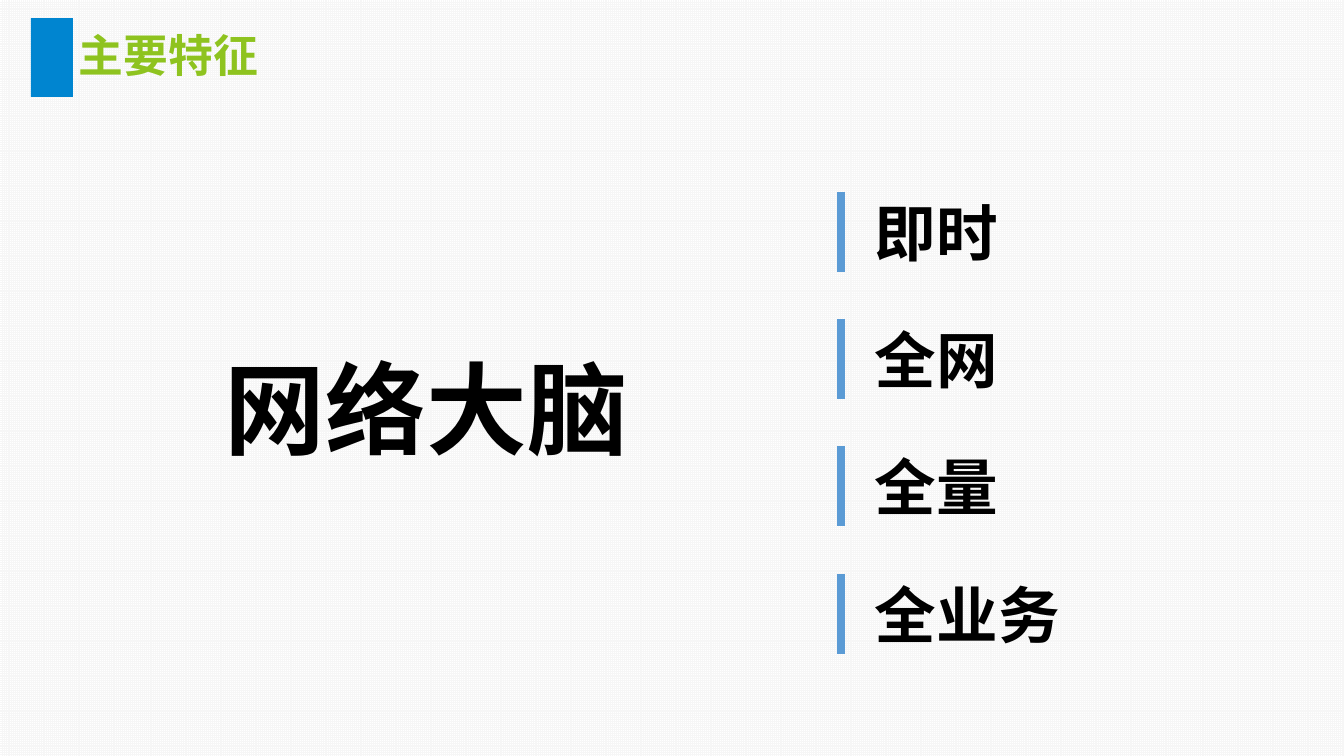
from lxml import etree
from pptx import Presentation
from pptx import util as u
from pptx.dml.color import RGBColor
from pptx.enum import dml, shapes, text
from pptx.oxml.ns import qn

PX = 914400 / 100.8
FONT = "Noto Sans CJK SC"
BLUE = RGBColor(0x00, 0x85, 0xD0)
LIGHT_BLUE = RGBColor(0x5B, 0x9B, 0xD5)
GREEN = RGBColor(0x8E, 0xC3, 0x1F)
BLACK = RGBColor(0x00, 0x00, 0x00)
WHITE = RGBColor(0xFF, 0xFF, 0xFF)
GRID = RGBColor(0xF6, 0xF6, 0xF6)
FEATURES = ["即时", "全网", "全量", "全业务"]


def px(*lengths):
    """Turn px lengths into EMU."""
    return [u.Emu(round(n * PX)) for n in lengths]


def add_label(s, x, y, w, h, words, size, color):
    """Add one bold line of text."""
    tf = s.shapes.add_textbox(*px(x, y, w, h)).text_frame
    tf.word_wrap = True
    tf.auto_size = text.MSO_AUTO_SIZE.SHAPE_TO_FIT_TEXT
    r = tf.paragraphs[0].add_run()
    r.text = words
    r.font.name = FONT
    r.font.size = u.Pt(size)
    r.font.bold = True
    r.font.color.rgb = color
    etree.SubElement(r.font._element, qn("a:ea")).set("typeface", FONT)


def add_background(s):
    """Fill the background with a fine grid."""
    fill = s.background.fill
    fill.patterned()
    fill.pattern = dml.MSO_PATTERN.SMALL_GRID
    fill.fore_color.rgb = GRID
    fill.back_color.rgb = WHITE


def add_header(s, x, y, w, h):
    """Place the title beside its blue block."""
    block = s.shapes.add_shape(shapes.MSO_SHAPE.RECTANGLE, *px(x, y, 42, h))
    block.shadow.inherit = False
    block.fill.solid()
    block.fill.fore_color.rgb = BLUE
    block.line.fill.background()
    add_label(s, x + 38, y + 5, w - 38, 65, "主要特征", 32, GREEN)


def add_features(s, x, y, w, h):
    """Stack the features evenly, each beside a vertical rule."""
    bar = 80
    for i, feature in enumerate(FEATURES):
        top = y + (h - bar) * i // (len(FEATURES) - 1)
        rule = s.shapes.add_connector(
            shapes.MSO_CONNECTOR.STRAIGHT, *px(x, top, x, top + bar))
        rule.line.color.rgb = LIGHT_BLUE
        rule.line.width = u.Pt(6)
        etree.SubElement(rule._element.spPr, qn("a:effectLst"))
        add_label(s, x + 24, top - 2, w - 24, 85, feature, 44, BLACK)


def main():
    """Build the slide and save it."""
    prs = Presentation()
    prs.slide_width, prs.slide_height = px(1344, 756)
    s = prs.slides.add_slide(prs.slide_layouts[6])
    add_background(s)
    add_header(s, 31, 18, 917, 79)
    add_label(s, 215, 342, 502, 132, "网络大脑", 72, BLACK)
    add_features(s, 841, 192, 238, 462)
    prs.save("out.pptx")


if __name__ == "__main__":
    main()
